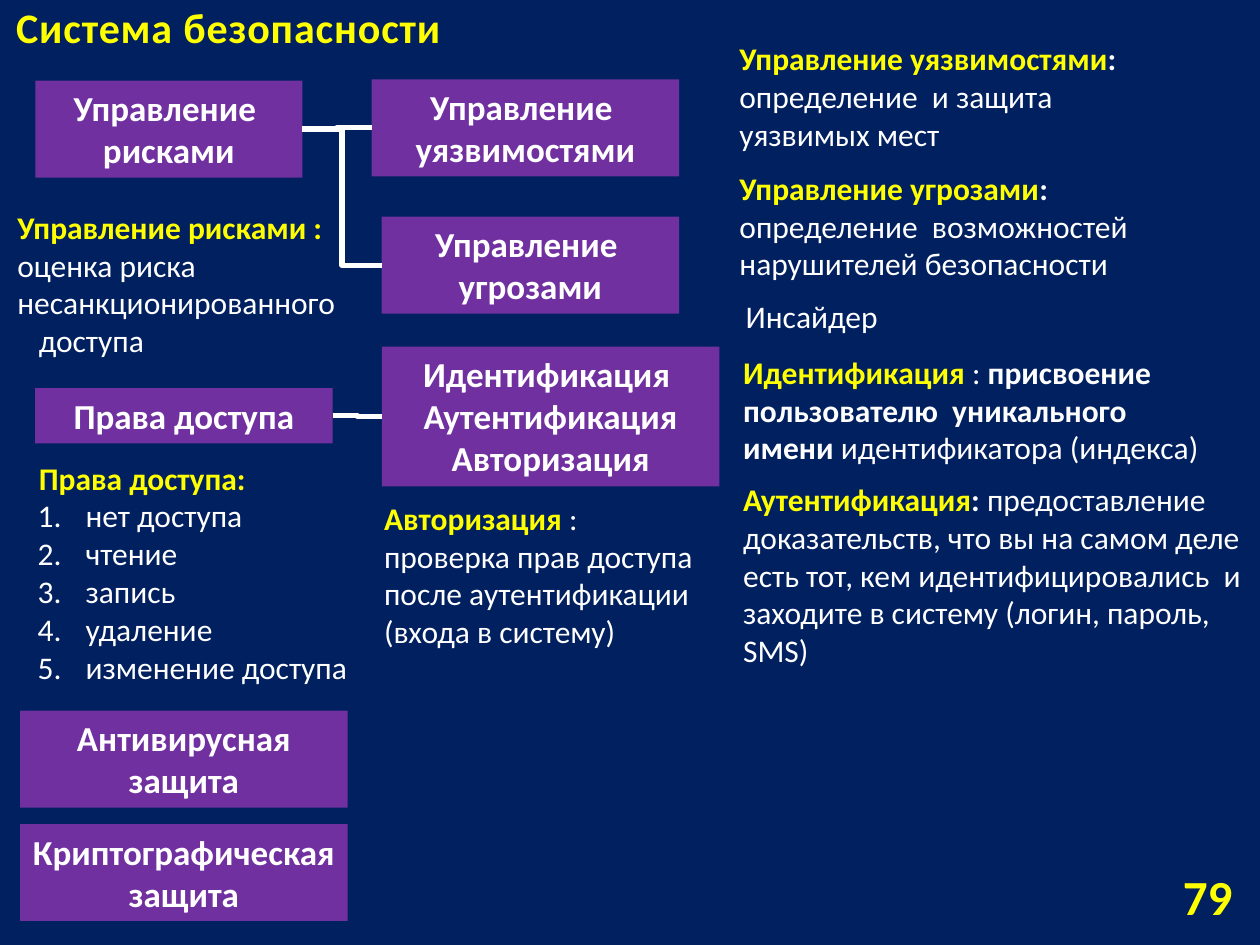
from lxml import etree
from pptx import Presentation, util as u
from pptx.dml.color import RGBColor
from pptx.enum import shapes, text
from pptx.oxml.ns import qn

CELL = u.Inches(0.1)
COLUMNS, ROWS = 100, 75
NAVY, PURPLE, YELLOW, WHITE = "002060", "7030A0", "FFFF00", "FFFFFF"
TERM, STRONG, PLAIN = (YELLOW, True), (WHITE, True), (WHITE, False)
LEFT_SIDE, RIGHT_SIDE = 1, 3

TOPICS = {
    "risks": (2.8, 6.4, 21.2, 7.7, ["Управление ", "рисками"]),
    "vulnerabilities": (29.5, 6.3, 24.4, 7.7, ["Управление ", "уязвимостями"]),
    "threats": (30.3, 17.2, 23.6, 7.7, ["Управление ", "угрозами"]),
    "rights": (2.8, 30.8, 23.6, 4.4, ["Права доступа"]),
    "identity": (30.3, 27.5, 26.8, 11.1,
                 ["Идентификация ", "Аутентификация", "Авторизация"]),
    "antivirus": (1.6, 56.4, 26, 7.7, ["Антивирусная", "защита"]),
    "cryptography": (1.6, 65.4, 26, 7.7, ["Криптографическая защита"]),
}
LINKS = [("risks", "vulnerabilities"), ("risks", "threats"), ("rights", "identity")]

DEFINITIONS = [
    (57.7, 2.6, 38.3, 10.1, [
        [("Управление уязвимостями", TERM), (":", STRONG)],
        [("определение  и защита", PLAIN)],
        [("уязвимых мест", PLAIN)]]),
    (57.7, 12.9, 35.2, 10.1, [
        [("Управление угрозами", TERM), (": ", STRONG),
         ("определение  возможностей нарушителей безопасности", PLAIN)]]),
    (58.2, 23.1, 12.6, 4, [[("Инсайдер", PLAIN)]]),
    (58, 27.5, 38.6, 10.1, [
        [("Идентификация ", TERM), (": ", PLAIN),
         ("присвоение пользователю  уникального имени", STRONG),
         (" идентификатора (индекса)", PLAIN)]]),
    (58, 37.6, 42.3, 16.2, [
        [("Аутентификация", TERM), (": ", STRONG),
         ("предоставление доказательств, что вы на самом деле есть тот, кем "
          "идентифицировались  и заходите в систему (логин, пароль, SMS)", PLAIN)]]),
    (29.5, 39.1, 27.6, 13.1, [
        [("Авторизация", TERM), (" :", PLAIN)],
        [("проверка прав доступа после аутентификации (входа в систему)", PLAIN)]]),
]
RIGHTS = ["нет доступа", "чтение", "запись", "удаление", "изменение доступа"]


def cells(*counts):
    return [round(count * CELL) for count in counts]


def colour(value):
    return RGBColor.from_string(value)


def style(font, size, value, bold):
    font.name, font.size, font.bold = "Calibri", u.Pt(size), bold
    font.color.rgb = colour(value)


def paragraphs(frame, count):
    return [frame.paragraphs[0]] + [frame.add_paragraph() for _ in range(count - 1)]


def indent(para, margin, hanging=0, numbered=False):
    properties = para._p.get_or_add_pPr()
    properties.set("marL", str(u.Inches(margin)))
    properties.set("indent", str(-u.Inches(hanging)))
    if numbered:
        etree.SubElement(properties, qn("a:buFont"), typeface="+mj-lt")
        etree.SubElement(properties, qn("a:buAutoNum"), type="arabicPeriod")


def add_topic(page, left, top, width, height, lines):
    box = page.shapes.add_shape(
        shapes.MSO_SHAPE.RECTANGLE, *cells(left, top, width, height))
    box.shadow.inherit = False
    box.fill.solid()
    box.fill.fore_color.rgb = colour(PURPLE)
    box.line.fill.background()
    frame = box.text_frame
    frame.word_wrap = True
    frame.vertical_anchor = text.MSO_ANCHOR.TOP
    for para, line in zip(paragraphs(frame, len(lines)), lines):
        para.text = line
        para.alignment = text.PP_ALIGN.CENTER
        style(para.font, 20, WHITE, True)
        para.runs[0].font.color.rgb = colour(WHITE)
    return box


def add_text(page, left, top, width, height, lines, size=18,
             anchor=text.MSO_ANCHOR.TOP):
    box = page.shapes.add_textbox(*cells(left, top, width, height))
    frame = box.text_frame
    frame.word_wrap = True
    frame.vertical_anchor = anchor
    for para, spans in zip(paragraphs(frame, len(lines)), lines):
        style(para.font, size, *spans[0][1])
        for wording, (value, bold) in spans:
            span = para.add_run()
            span.text = wording
            span.font.color.rgb = colour(value)
            span.font.bold = bold
    return frame.paragraphs


def add_link(page, start, end):
    link = page.shapes.add_connector(shapes.MSO_CONNECTOR.ELBOW, 0, 0, 0, 0)
    link.begin_connect(start, RIGHT_SIDE)
    link.end_connect(end, LEFT_SIDE)
    link.line.color.rgb = colour(WHITE)
    link.line.width = u.Pt(3)
    etree.SubElement(link._element.spPr, qn("a:effectLst"))


def add_title(page):
    para = add_text(page, 0.3, 0, 37.9, 4.6, [[("Система безопасности", TERM)]],
                    24, text.MSO_ANCHOR.BOTTOM)[0]
    para.runs[0]._r.get_or_add_rPr().set("spc", "50")


def add_page_number(page):
    para = add_text(page, 87, 69.1, 11.8, 4, [[("79", TERM)]],
                    28, text.MSO_ANCHOR.MIDDLE)[0]
    para.alignment = text.PP_ALIGN.RIGHT


def add_risk_definition(page):
    lines = [[("Управление рисками : ", TERM),
              ("оценка риска несанкционированного", PLAIN)],
             [("доступа", PLAIN)]]
    indent(add_text(page, 0.4, 16, 28.3, 13.1, lines)[1], 0.17)


def add_rights_list(page):
    lines = [[("Права доступа:", TERM)]] + [[(right, PLAIN)] for right in RIGHTS]
    box = page.shapes.add_textbox(*cells(1.9, 35.9, 29.2, 19.2))
    frame = box.text_frame
    frame.word_wrap = True
    for para, [(wording, look)] in zip(paragraphs(frame, len(lines)), lines):
        numbered = look == PLAIN
        indent(para, 0.39 if numbered else 0.02, 0.38 if numbered else 0, numbered)
        para.text = wording
        style(para.font, 18, *look)
        para.runs[0].font.color.rgb = colour(look[0])


def main():
    deck = Presentation()
    deck.slide_width, deck.slide_height = cells(COLUMNS, ROWS)
    page = deck.slides.add_slide(deck.slide_layouts[6])
    page.background.fill.solid()
    page.background.fill.fore_color.rgb = colour(NAVY)
    add_title(page)
    boxes = {name: add_topic(page, *topic) for name, topic in TOPICS.items()}
    for start, end in LINKS:
        add_link(page, boxes[start], boxes[end])
    for definition in DEFINITIONS:
        add_text(page, *definition)
    add_risk_definition(page)
    add_rights_list(page)
    add_page_number(page)
    deck.save("out.pptx")


if __name__ == "__main__":
    main()
